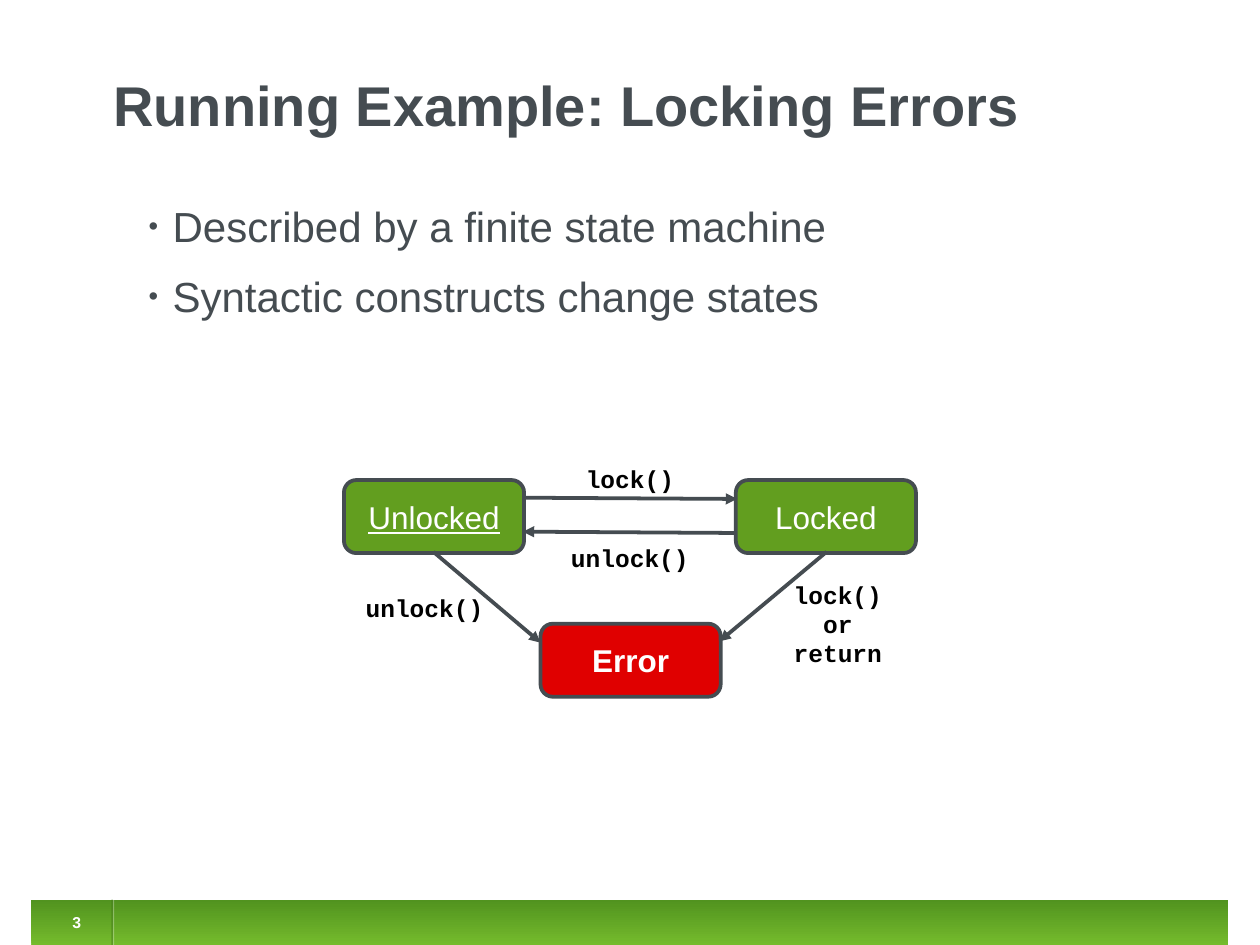
from lxml.etree import SubElement
from pptx import Presentation
from pptx.dml.color import RGBColor
from pptx.enum.shapes import MSO_CONNECTOR as Connector, MSO_SHAPE as Shape
from pptx.enum.text import MSO_ANCHOR as Anchor, MSO_AUTO_SIZE as AutoSize, PP_ALIGN as Align
from pptx.oxml.ns import qn
from pptx.util import Inches, Pt

COLUMNS, ROWS = 100, 75
WIDTH, HEIGHT = Inches(10), Inches(7.5)
COLORS = {
    "ink": "454C51", "state": "629E1F", "error": "E00000",
    "white": "FFFFFF", "black": "000000", "groove": "3F7418",
    "bar_bottom": "77BD2D", "bar_top": "51931F",
}
STATE_SIZE = (14.3, 5.8)
PAD = (1, 0.5)
LABEL_FONT = {"size": 14, "name": "Courier New", "bold": True, "color": "black"}


def color(key):
    return RGBColor.from_string(COLORS[key])


def place(*cells):
    spans = (WIDTH / COLUMNS, HEIGHT / ROWS)
    return [round(cell * spans[i % 2]) for i, cell in enumerate(cells)]


def set_attributes(target, values):
    for key, value in values.items():
        setattr(target, key, value)


def fill_text(frame, lines, font, pad=(0, 0), paragraph=None, bullet=False, **frame_format):
    horizontal, vertical = place(*pad)
    set_attributes(frame, {
        "margin_left": horizontal, "margin_right": horizontal,
        "margin_top": vertical, "margin_bottom": vertical, **frame_format,
    })
    style = {"name": "Arial", **font, "size": Pt(font["size"])}
    ink = style.pop("color")
    for i, line in enumerate(lines):
        para = frame.paragraphs[0] if i == 0 else frame.add_paragraph()
        set_attributes(para, paragraph or {})
        if bullet:
            add_bullet(para)
        run = para.add_run()
        run.text = line
        set_attributes(run.font, style)
        run.font.color.rgb = color(ink)


def add_bullet(para):
    props = para._p.get_or_add_pPr()
    props.set("marL", str(Inches(0.47)))
    props.set("indent", str(Inches(-0.19)))
    bullet_color = SubElement(props, qn("a:buClr"))
    SubElement(bullet_color, qn("a:srgbClr"), val=COLORS["ink"])
    SubElement(props, qn("a:buSzPct"), val="65000")
    SubElement(props, qn("a:buFont"), typeface="Arial")
    SubElement(props, qn("a:buChar"), char="•")


def add_text(slide, box, lines, font, **options):
    frame = slide.shapes.add_textbox(*place(*box)).text_frame
    fill_text(frame, lines, font, **{"word_wrap": True, **options})


def add_label(slide, box, *lines):
    add_text(slide, box, lines, LABEL_FONT, pad=PAD, word_wrap=False,
             auto_size=AutoSize.SHAPE_TO_FIT_TEXT, paragraph={"alignment": Align.CENTER})


def add_state(slide, corner, name, fill, **emphasis):
    state = slide.shapes.add_shape(Shape.ROUNDED_RECTANGLE, *place(*corner, *STATE_SIZE))
    state.shadow.inherit = False
    state.adjustments[0] = 0.17
    state.fill.solid()
    state.fill.fore_color.rgb = color(fill)
    state.line.color.rgb = color("ink")
    state.line.width = Pt(2.15)
    fill_text(state.text_frame, [name], {"size": 18, "color": "white", **emphasis},
              pad=PAD, paragraph={"alignment": Align.CENTER},
              word_wrap=False, vertical_anchor=Anchor.MIDDLE)


def add_line(slide, start, end, ink="ink", weight=2.15, opacity=None, arrow=False):
    line = slide.shapes.add_connector(Connector.STRAIGHT, *place(*start, *end))
    line.line.color.rgb = color(ink)
    line.line.width = Pt(weight)
    props = line._element.spPr
    if opacity:
        SubElement(next(props.iter(qn("a:srgbClr"))), qn("a:alpha"), val=str(opacity * 1000))
    if arrow:
        SubElement(props.find(qn("a:ln")), qn("a:tailEnd"), type="triangle")
    SubElement(props, qn("a:effectLst"))


def add_footer(slide):
    top, bottom = 71.4, 75.1
    bar = slide.shapes.add_shape(Shape.RECTANGLE, *place(2.5, top, 95, 3.8))
    bar.shadow.inherit = False
    bar.line.fill.background()
    bar.fill.gradient()
    bar.fill.gradient_angle = 90
    for stop, key in zip(bar.fill.gradient_stops, ("bar_bottom", "bar_top")):
        stop.color.rgb = color(key)
    for column, ink, opacity in ((9, "white", 31), (8.9, "groove", 48)):
        add_line(slide, (column, top), (column, bottom), ink, 0.75, opacity)
    add_text(slide, (4.5, 71.8, 3.2, 3), ["3"], {"size": 9, "bold": True, "color": "white"},
             paragraph={"alignment": Align.CENTER, "line_spacing": 0.93},
             word_wrap=False, vertical_anchor=Anchor.MIDDLE)


def add_state_machine(slide):
    add_state(slide, (27.3, 38.1), "Unlocked", "state", underline=True)
    add_state(slide, (58.4, 38.1), "Locked", "state")
    add_state(slide, (42.9, 49.5), "Error", "error", bold=True)
    for start, end in (
        ((41.6, 39.5), (58.5, 39.6)),
        ((58.4, 42.3), (41.5, 42.2)),
        ((34.4, 43.8), (42.9, 51)),
        ((65.6, 43.8), (57.1, 50.9)),
    ):
        add_line(slide, start, end, arrow=True)
    add_label(slide, (45, 36.3, 10, 3.6), "lock()")
    add_label(slide, (44, 42.6, 12, 3.6), "unlock()")
    add_label(slide, (27.7, 46.6, 12, 3.6), "unlock()")
    add_label(slide, (61.5, 45.5, 10, 8.9), "lock()", "or", "return")


def main():
    deck = Presentation()
    set_attributes(deck, {"slide_width": WIDTH, "slide_height": HEIGHT})
    slide = deck.slides.add_slide(deck.slide_layouts[6])
    add_footer(slide)
    add_text(slide, (9, 2.9, 82.4, 10.8), ["Running Example: Locking Errors"],
             {"size": 32, "bold": True, "color": "ink"}, vertical_anchor=Anchor.MIDDLE)
    add_text(slide, (9, 15.9, 82.4, 49.5),
             ["Described by a finite state machine", "Syntactic constructs change states"],
             {"size": 24, "color": "ink"}, paragraph={"space_after": Pt(11.5)}, bullet=True)
    add_state_machine(slide)
    deck.save("out.pptx")


if __name__ == "__main__":
    main()
